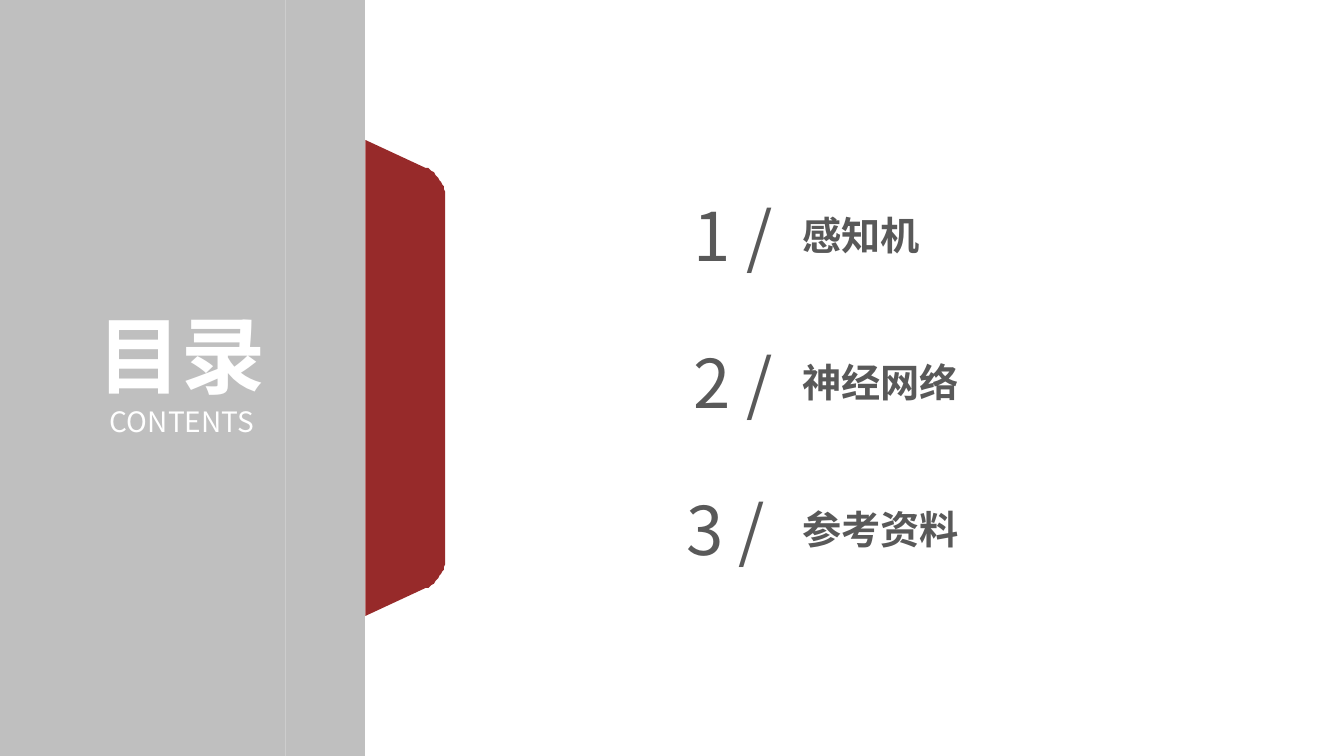
from dataclasses import dataclass

from lxml.etree import SubElement
from pptx import Presentation
from pptx.dml.color import RGBColor
from pptx.enum.shapes import MSO_SHAPE
from pptx.enum.text import MSO_ANCHOR, MSO_AUTO_SIZE, PP_ALIGN
from pptx.oxml.ns import qn
from pptx.util import Pt


@dataclass(frozen=True)
class Theme:
    font: str = "Noto Sans CJK SC"
    grey: str = "BFBFBF"
    red: str = "972A2A"
    ink: str = "595959"
    white: str = "FFFFFF"
    title: int = 60
    subtitle: int = 20
    number: int = 48
    entry: int = 28


class ContentsSlide:
    def __init__(self, prs, theme):
        self.theme = theme
        self.s = prs.slides.add_slide(prs.slide_layouts[5])

    def paint(self, sp, color):
        sp.shadow.inherit = False
        sp.fill.solid()
        sp.fill.fore_color.rgb = RGBColor.from_string(color)
        sp.line.fill.background()

    def panel(self, x, y, w, h):
        sp = self.s.shapes.add_shape(MSO_SHAPE.RECTANGLE, Pt(x), Pt(y), Pt(w), Pt(h))
        self.paint(sp, self.theme.grey)

    def outline(self, points):
        builder = self.s.shapes.build_freeform(*points[0], scale=Pt(1))
        builder.add_line_segments(points[1:], close=True)
        self.paint(builder.convert_to_shape(), self.theme.red)

    def set_text(self, sp, text, size, color, bold, align, spacing):
        tf = sp.text_frame
        tf.word_wrap = True
        tf.auto_size = MSO_AUTO_SIZE.SHAPE_TO_FIT_TEXT
        tf.vertical_anchor = MSO_ANCHOR.TOP
        p = tf.paragraphs[0]
        p.alignment = align
        p.line_spacing = spacing
        r = p.add_run()
        r.text = text
        r.font.size = Pt(size)
        r.font.bold = bold
        r.font.color.rgb = RGBColor.from_string(color)
        r.font.name = self.theme.font
        SubElement(r.font._element, qn("a:ea")).set("typeface", self.theme.font)

    def label(self, x, y, w, h, text, size, color, bold=False,
              align=PP_ALIGN.CENTER, spacing=1.0):
        sp = self.s.shapes.add_textbox(Pt(x), Pt(y), Pt(w), Pt(h))
        self.set_text(sp, text, size, color, bold, align, spacing)

    def title(self, x, y, w, h, text):
        sp = self.s.shapes.title
        sp.left, sp.top, sp.width, sp.height = Pt(x), Pt(y), Pt(w), Pt(h)
        self.set_text(sp, text, self.theme.title, self.theme.white, True,
                      PP_ALIGN.CENTER, 1.2)
        self.s.shapes._spTree.append(sp._element)


def bezier(a, b, c, d, steps=16):
    return [
        tuple((1 - t) ** 3 * i + 3 * (1 - t) ** 2 * t * j
              + 3 * (1 - t) * t ** 2 * k + t ** 3 * m
              for i, j, k, m in zip(a, b, c, d))
        for t in (n / steps for n in range(steps + 1))
    ]


def main():
    prs = Presentation()
    prs.slide_width, prs.slide_height = Pt(960), Pt(540)
    theme = Theme()
    slide = ContentsSlide(prs, theme)

    slide.panel(203.8, 0, 56.9, 540)
    upper = [(261.2, 100)] + bezier((304, 119.6), (312.4, 123.6), (318.4, 132.4), (318.4, 142.2))
    lower = [(x, 540 - y) for x, y in reversed(upper)]
    slide.outline(upper + lower)
    slide.panel(0, 0, 203.8, 540)

    entries = [("1 /", "感知机"), ("2 /", "神经网络"), ("3 / ", "参考资料")]
    for i, (number, entry) in enumerate(entries):
        y = 135.2 + 104.9 * i
        slide.label(481.7, y, 84.2, 65, number, theme.number, theme.ink)
        slide.label(566, y + 12.4, 215, 40, entry, theme.entry, theme.ink,
                    bold=True, align=PP_ALIGN.LEFT)

    slide.title(54.7, 198.7, 150.5, 93.6, "目录")
    slide.label(54.7, 280.8, 150.5, 36, "CONTENTS", theme.subtitle, theme.white, spacing=1.2)
    prs.save("out.pptx")


if __name__ == "__main__":
    main()
